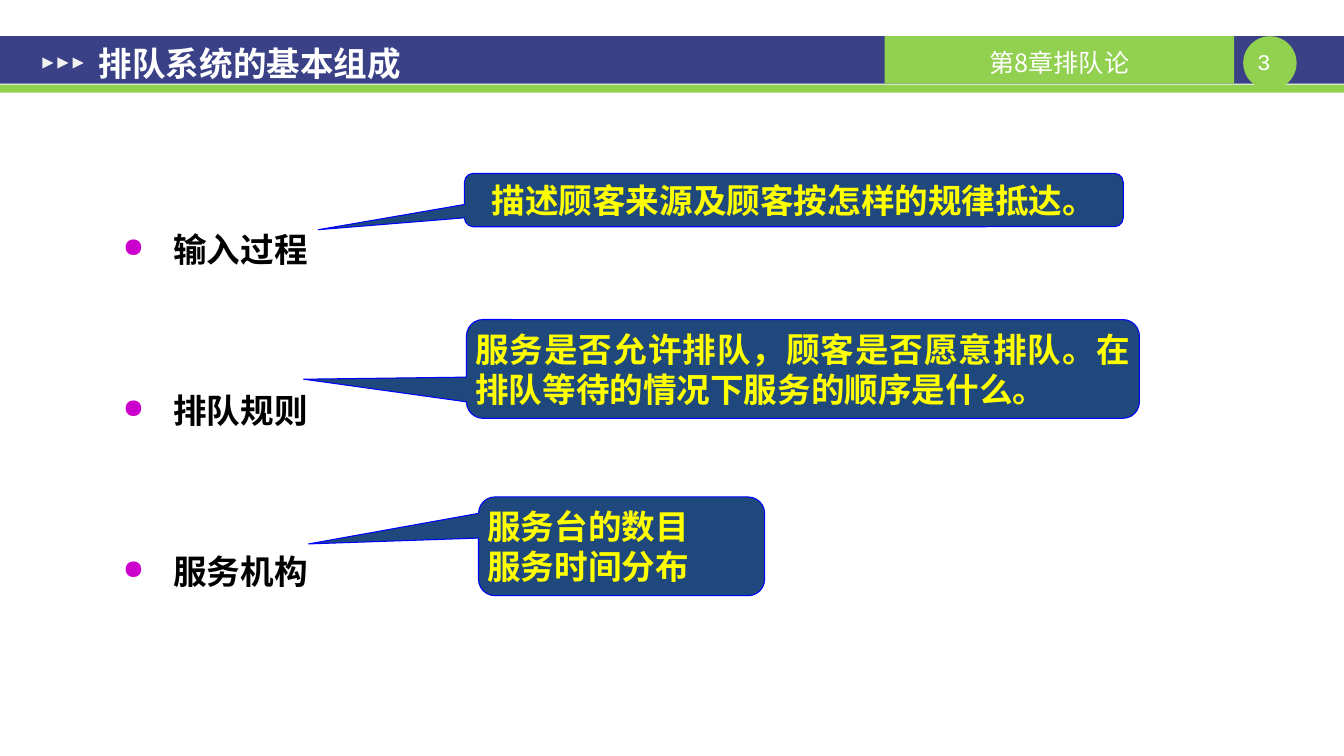
"""Build the slide on the basic parts of a queueing system."""
from lxml.etree import SubElement
from pptx import Presentation
from pptx.dml.color import RGBColor
from pptx.enum.shapes import MSO_SHAPE as SHAPE
from pptx.enum.text import MSO_ANCHOR as ANCHOR, PP_ALIGN as ALIGN
from pptx.oxml.ns import qn
from pptx.util import Pt

PX = 9144
SANS = "Noto Sans CJK SC"
NAVY, GREEN, WHITE = "3A4187", "92D050", "FFFFFF"

prs = Presentation()
prs.slide_width, prs.slide_height = 1334 * PX, 750 * PX
s = prs.slides.add_slide(prs.slide_layouts[6])


def add_shape(kind, box, fill, line=None):
    sp = s.shapes.add_shape(kind, *(v * PX for v in box))
    sp.shadow.inherit = False
    sp.fill.solid()
    sp.fill.fore_color.rgb = RGBColor.from_string(fill)
    if line:
        sp.line.color.rgb = RGBColor.from_string(line)
        sp.line.width = Pt(0.75)
    else:
        sp.line.fill.background()
    return sp


def write(sp, text, size=24, color=WHITE, bold=True, font=SANS, align=ALIGN.LEFT,
          anchor=ANCHOR.TOP, margins=(13, 7, 13, 7)):
    tf = sp.text_frame
    tf.word_wrap = True
    tf.vertical_anchor = anchor
    tf.margin_left, tf.margin_top, tf.margin_right, tf.margin_bottom = (
        v * PX for v in margins)
    tf.text = text
    for p in tf.paragraphs:
        p.alignment = align
        for r in p.runs:
            r.font.name, r.font.size, r.font.bold = font, Pt(size), bold
            r.font.color.rgb = RGBColor.from_string(color)
            SubElement(r.font._element, qn("a:ea"), typeface=font)
    return tf


add_shape(SHAPE.RECTANGLE, (0, 36, 1334, 47), NAVY)
add_shape(SHAPE.RECTANGLE, (0, 84, 1334, 8), GREEN)
add_shape(SHAPE.OVAL, (1234, 36, 53, 53), GREEN)
page = s.shapes.add_textbox(1228 * PX, 48 * PX, 53 * PX, 27 * PX)
write(page, "3", size=16, bold=False, font="Courier New", align=ALIGN.CENTER,
      margins=(0, 0, 0, 0))
chapter = add_shape(SHAPE.RECTANGLE, (878, 36, 347, 47), GREEN)
write(chapter, "第8章排队论", size=18, bold=False, align=ALIGN.CENTER,
      anchor=ANCHOR.MIDDLE, margins=(10, 4, 10, 0))
for i in range(3):
    arrow = add_shape(SHAPE.ISOSCELES_TRIANGLE, (42 + 15 * i, 57, 11, 11), "F2F2F2")
    arrow.rotation = 90

title = s.shapes.add_textbox(85 * PX, 39 * PX, 583 * PX, 47 * PX)
write(title, "排队系统的基本组成", anchor=ANCHOR.MIDDLE)

parts = s.shapes.add_textbox(109 * PX, 100 * PX, 325 * PX, 500 * PX)
tf = write(parts, "输入过程\n排队规则\n服务机构", color="000000")
for p in tf.paragraphs:
    p.line_spacing = 4.0
    pPr = p._p.get_or_add_pPr()
    pPr.set("marL", str(50 * PX))
    pPr.set("indent", str(-50 * PX))
    SubElement(SubElement(pPr, qn("a:buClr")), qn("a:srgbClr"), val="CC00CC")
    SubElement(pPr, qn("a:buSzPct"), val="80000")
    SubElement(pPr, qn("a:buChar"), char="●")

callouts = [
    ((461, 172, 654, 53), (-0.722, 0.556), ALIGN.CENTER,
     "描述顾客来源及顾客按怎样的规律抵达。"),
    ((463, 317, 668, 98), (-0.742, 0.104), ALIGN.JUSTIFY,
     "服务是否允许排队，顾客是否愿意排队。在排队等待的情况下服务的顺序是什么。"),
    ((475, 493, 284, 98), (-1.094, -0.024), ALIGN.JUSTIFY,
     "服务台的数目\n服务时间分布"),
]
for box, tip, align, text in callouts:
    callout = add_shape(SHAPE.ROUNDED_RECTANGULAR_CALLOUT, box, "1F497D", "0000FF")
    callout.adjustments[0], callout.adjustments[1] = tip
    write(callout, text, color="FFFF00", align=align, margins=(4, 4, 4, 4))

prs.save("out.pptx")
